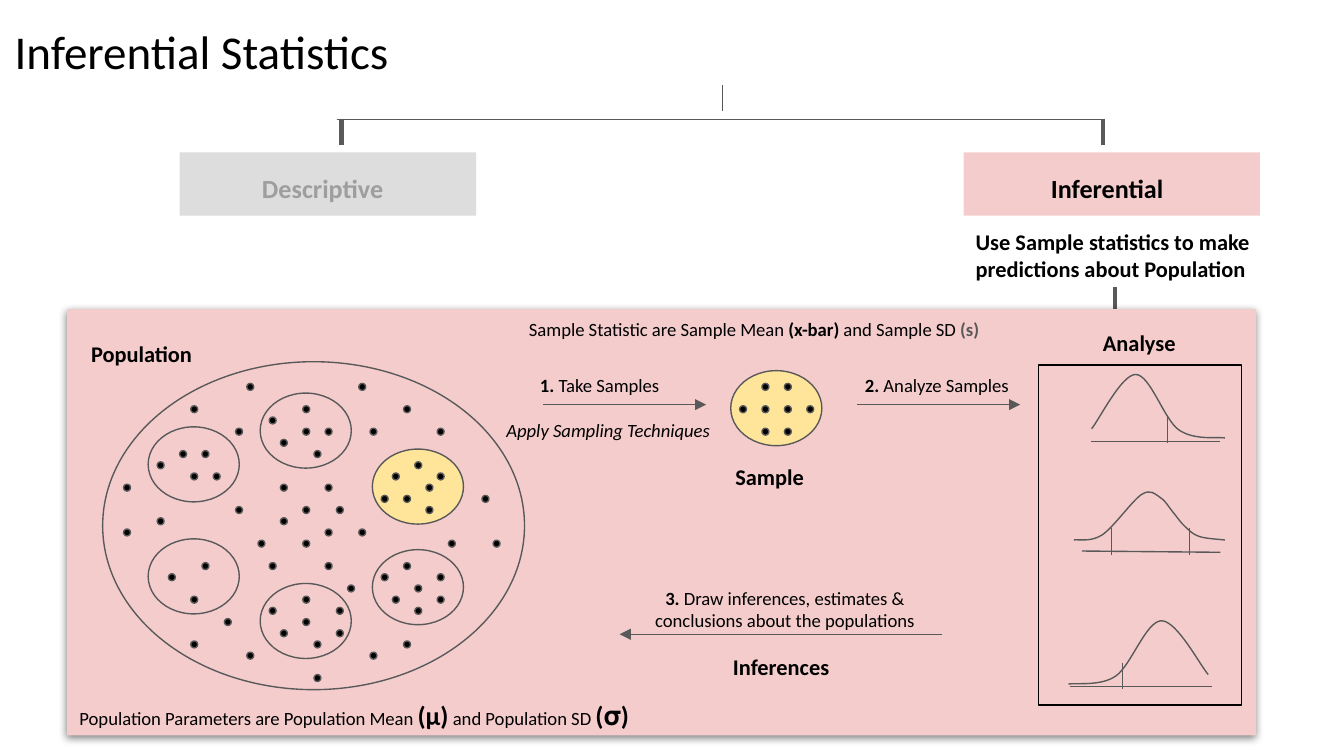
from pptx import Presentation
from pptx.dml.color import RGBColor
from pptx.enum.shapes import MSO_CONNECTOR, MSO_SHAPE
from pptx.enum.text import PP_ALIGN
from pptx.oxml import parse_xml
from pptx.oxml.ns import nsdecls
from pptx.util import Pt

BLACK = RGBColor(0x00, 0x00, 0x00)
WHITE = RGBColor(0xFF, 0xFF, 0xFF)
GREY = RGBColor(0x59, 0x59, 0x59)
PALE = RGBColor(0x9E, 0x9E, 0x9E)
SILVER = RGBColor(0xDD, 0xDD, 0xDD)
PINK = RGBColor(0xF4, 0xCC, 0xCC)
YELLOW = RGBColor(0xFF, 0xE5, 0x99)

deck = Presentation()
deck.slide_width, deck.slide_height = Pt(720), Pt(405)
shapes = deck.slides.add_slide(deck.slide_layouts[6]).shapes


def dress(shape, fill=None, edge=None):
    shape.shadow.inherit = False
    for part, color in ((shape.fill, fill), (shape.line.fill, edge)):
        if color is None:
            part.background()
        else:
            part.solid()
            part.fore_color.rgb = color
    if edge is not None:
        shape.line.width = Pt(0.75)


def rule(x1, y1, x2, y2, width=0.75, arrow=False):
    ends = [Pt(v) for v in (x1, y1, x2, y2)]
    line = shapes.add_connector(MSO_CONNECTOR.STRAIGHT, *ends)
    line.line.color.rgb = GREY
    line.line.width = Pt(width)
    if arrow:
        tail = parse_xml(f'<a:tailEnd {nsdecls("a")} type="triangle"/>')
        line.line._get_or_add_ln().append(tail)
    line._element.spPr.append(parse_xml(f'<a:effectLst {nsdecls("a")}/>'))


for x, fill in ((96.3, SILVER), (516.2, PINK)):
    box = shapes.add_shape(MSO_SHAPE.RECTANGLE, Pt(x), Pt(81.6), Pt(158.8), Pt(34))
    dress(box, fill)

rule(387, 45.5, 387, 59.5)
rule(180.4, 64, 592, 64)
for x, top, end in ((183, 63.5, 77.7), (591, 63.5, 77.7), (597.2, 153.5, 186)):
    rule(x, top, x, end, 2.25)

panel = shapes.add_shape(MSO_SHAPE.RECTANGLE, Pt(36), Pt(165.6), Pt(637), Pt(228.4))
dress(panel, PINK)
panel._element.spPr.find("{*}effectLst").append(parse_xml(
    f'<a:outerShdw {nsdecls("a")} blurRad="57150" dist="19050" dir="5400000" algn="bl" '
    'rotWithShape="0"><a:srgbClr val="000000"><a:alpha val="50000"/></a:srgbClr></a:outerShdw>'))

ovals = [(55, 193.8, 226, 175.7, None)]
for x, y, fill in (
    (139.4, 210.6, None), (79.4, 228.7, None), (79.4, 288.7, None), (139.4, 312.6, None),
    (199.5, 294.5, None), (199.5, 240.6, YELLOW), (391.5, 198.6, YELLOW),
):
    ovals.append((x, y, 48.8, 40.2, fill))
for x, y, wide, high, fill in ovals:
    oval = shapes.add_shape(MSO_SHAPE.OVAL, Pt(x), Pt(y), Pt(wide), Pt(high))
    dress(oval, fill, GREY)

for x1, x2, y in ((291, 378.3, 216.8), (459.3, 546.5, 216.8), (504.8, 332, 339.8)):
    rule(x1, y, x2, y, arrow=True)

curves = (
    [(647.3, 361.4), (643, 356.6), (630.6, 332.6), (622.3, 332.6), (614, 332.6),
     (606, 356.6), (597.8, 362.2), (589.7, 367.8), (576.5, 365.8), (572.4, 366.5)],
    [(584.8, 229.7), (589, 224.6), (600.8, 200.6), (608.4, 200.6), (616.2, 200.6),
     (623.5, 224.6), (631.4, 230.2), (639.4, 236), (652.3, 234), (656.2, 234.6)],
    [(575.3, 289.3), (577.5, 288.8), (584, 290.6), (590.2, 286.8), (596.3, 283),
     (606.4, 268.4), (611.5, 265), (616.5, 261.8), (618.6, 264.6), (621.4, 266.4),
     (624.3, 268), (626.2, 271.8), (628.5, 274.5), (630.8, 277.2), (632.7, 280.2),
     (635.1, 282.3), (637.4, 284.4), (638.9, 286.2), (642.4, 287.4), (645.9, 288.6),
     (653.6, 289), (656.2, 289.3)],
)
for curve in curves:
    knots = [(x * 100, y * 100) for x, y in curve]
    path = shapes.build_freeform(*knots[0], scale=Pt(1) / 100)
    path.add_line_segments(knots[1:], close=False)
    bell = path.convert_to_shape()
    dress(bell, None, GREY)
    steps = list(bell._element.iter("{*}lnTo"))
    for i in range(0, len(steps), 3):
        bend = parse_xml(f'<a:cubicBezTo {nsdecls("a")}/>')
        steps[i].addprevious(bend)
        for step in steps[i:i + 3]:
            bend.append(step[0])
            step.getparent().remove(step)

frame = shapes.add_shape(MSO_SHAPE.RECTANGLE, Pt(556.5), Pt(195.6), Pt(108.7), Pt(182.2))
dress(frame, None, BLACK)

for ends in ((584.6, 236.4, 653.8, 236.4), (579.6, 295.2, 653.8, 295.9),
             (573.1, 367.9, 649.4, 367.9)):
    rule(*ends)
for x, top in ((625.4, 223), (595.4, 283), (637.2, 283), (601.2, 355)):
    rule(x, top, x, top + 14.2)

grid = {
    0: (11, 21, 57, 59), 2: (6, 16, 25, 55, 57, 59, 61), 3: (13,),
    4: (10, 16, 18, 22, 28, 57, 59), 5: (14,), 6: (5, 7, 17), 7: (3, 26),
    8: (6, 8, 24, 28), 9: (0, 14, 18, 27), 10: (23, 25, 32),
    11: (10, 16, 19, 27), 12: (3, 14), 13: (0, 18, 21), 14: (12, 16, 29, 33),
    16: (7, 13, 18, 25), 17: (4, 23, 28), 18: (20, 26), 19: (6, 16, 24, 28),
    20: (13, 19, 26), 21: (9, 16), 22: (14, 19), 23: (6, 17, 25),
    24: (11, 22), 26: (17,),
}
for row, cols in grid.items():
    for col in cols:
        dot = shapes.add_shape(MSO_SHAPE.OVAL, Pt(66.2 + 6 * col), Pt(205.4 + 6 * row),
                               Pt(3.7), Pt(3.7))
        dress(dot, BLACK, GREY)

TITLE = {"size": Pt(25.2)}
HEAD = {"size": Pt(14), "bold": True}
LABEL = {"size": Pt(12), "bold": True}
BODY = {"size": Pt(10)}
STRONG = {"size": Pt(10), "bold": True}
SLANT = {"size": Pt(10), "italic": True}
LEFT, MID = PP_ALIGN.LEFT, PP_ALIGN.CENTER

texts = (
    (0.7, 5, 375.8, LEFT, [[("Inferential Statistics", TITLE, BLACK)]]),
    (95.5, 85, 154.8, MID, [[("Descriptive", HEAD, PALE)]]),
    (515.7, 85, 154.8, MID, [[("Inferential", HEAD, BLACK)]]),
    (515.6, 115.2, 172.8, LEFT, [[("Use Sample statistics to make", LABEL, BLACK)],
                                 [("predictions about Population", LABEL, BLACK)]]),
    (41.7, 175, 105.8, LEFT, [[("Population", LABEL, BLACK)]]),
    (359.5, 240.9, 105.8, MID, [[("Sample", LABEL, BLACK)]]),
    (557.5, 169.2, 105.8, MID, [[("Analyse", LABEL, BLACK)]]),
    (365.6, 342.7, 105.8, MID, [[("Inferences", LABEL, BLACK)]]),
    (35.5, 367.4, 329.8, LEFT, [[
        ("Population Parameters are Population Mean ", BODY, BLACK), ("(μ)", HEAD, BLACK),
        (" and Population SD ", BODY, BLACK), ("(𝛔)", HEAD, BLACK)]]),
    (276.3, 164.4, 303, LEFT, [[
        ("Sample Statistic are Sample Mean ", BODY, BLACK), ("(x-bar)", STRONG, BLACK),
        (" and Sample SD ", BODY, BLACK), ("(s)", STRONG, GREY)]]),
    (282.2, 194, 100, LEFT, [[("1.", STRONG, BLACK), (" Take Samples", BODY, BLACK)]]),
    (456.3, 194, 100, LEFT, [[("2.", STRONG, BLACK), (" Analyze Samples", BODY, BLACK)]]),
    (336.2, 307.2, 168.5, MID, [[
        ("3.", STRONG, BLACK),
        (" Draw inferences, estimates & conclusions about the populations", BODY, BLACK)]]),
    (264.2, 218.4, 138.2, LEFT, [[("Apply Sampling Techniques", SLANT, BLACK)]]),
)
for x, y, wide, align, paras in texts:
    title = paras[0][0][1] is TITLE
    box = shapes.add_textbox(Pt(x), Pt(y), Pt(wide), Pt(45.4 if title else 26))
    if title:
        box.fill.solid()
        box.fill.fore_color.rgb = WHITE
    frame = box.text_frame
    for name in ("left", "right", "top", "bottom"):
        setattr(frame, f"margin_{name}", Pt(7.2))
    frame.word_wrap = True
    for i, runs in enumerate(paras):
        para = frame.add_paragraph() if i else frame.paragraphs[0]
        para.alignment = align
        for words, style, color in runs:
            run = para.add_run()
            run.text = words
            for key, value in {"name": "Calibri", **style}.items():
                setattr(run.font, key, value)
            run.font.color.rgb = color

deck.save("out.pptx")
